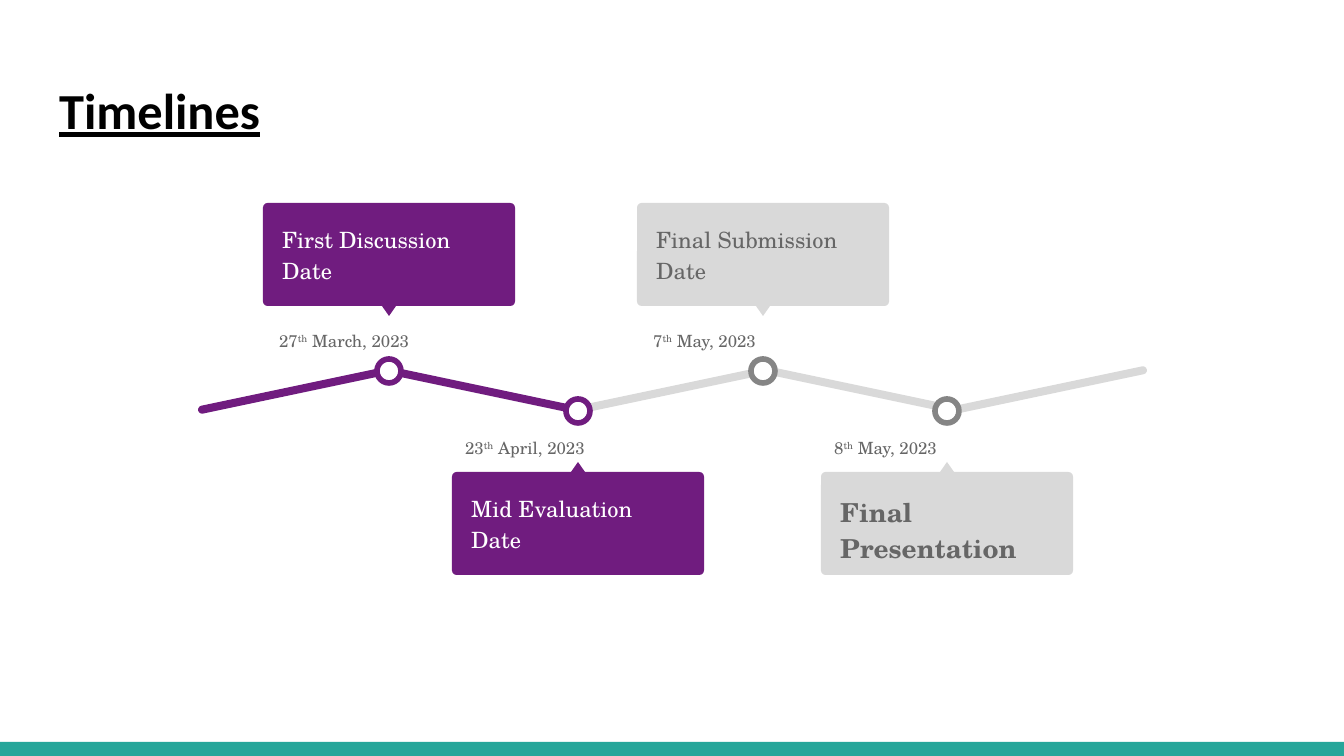
"""Build the project timeline slide with four dated milestones."""
from dataclasses import dataclass

from pptx import Presentation
from pptx import util as u
from pptx.dml.color import RGBColor
from pptx.enum import shapes, text

PX = 914400 / 134.4
COLORS = {
    "purple": "701C7F", "silver": "D9D9D9", "ring": "858585", "gray": "666666",
    "white": "FFFFFF", "black": "000000", "teal": "26A69A",
}
SERIF = "TeX Gyre Schola"
SHAPE = shapes.MSO_SHAPE


@dataclass
class Segment:
    center: int
    angle: float
    color: str


@dataclass
class Milestone:
    center: int
    above: bool
    day: str
    month: str
    caption: str
    fill: str
    ring: str
    ink: str
    size: int = 12
    bold: bool = False


SEGMENTS = [
    Segment(296, -11.9, "purple"),
    Segment(482, 11.9, "purple"),
    Segment(673, -11.9, "silver"),
    Segment(861, 11.9, "silver"),
    Segment(1050, -11.9, "silver"),
]
MILESTONES = [
    Milestone(389, True, "27", " March, 2023", "First Discussion Date",
              "purple", "purple", "white"),
    Milestone(578, False, "23", " April, 2023", "Mid Evaluation Date",
              "purple", "purple", "white"),
    Milestone(763, True, "7", " May, 2023", "Final Submission Date",
              "silver", "ring", "gray"),
    Milestone(947, False, "8", " May, 2023", "Final Presentation",
              "silver", "ring", "gray", 14, True),
]


def px(length: int) -> u.Emu:
    """Turn a length in px into EMU."""
    return u.Emu(round(length * PX))


def rgb(name: str) -> RGBColor:
    """Look up a named colour."""
    return RGBColor.from_string(COLORS[name])


def add_block(slide, preset, left: int, top: int, width: int, height: int, color: str):
    """Draw a plain filled preset shape without an outline."""
    block = slide.shapes.add_shape(preset, px(left), px(top), px(width), px(height))
    block.shadow.inherit = False
    block.fill.solid()
    block.fill.fore_color.rgb = rgb(color)
    block.line.fill.background()
    return block


def add_text(slide, left: int, top: int, width: int, height: int, parts: list[str],
             size: int, color: str, font: str = SERIF, bold: bool = False,
             spacing: float = 1.15):
    """Add a wrapped text box of one paragraph and return that paragraph."""
    frame = slide.shapes.add_textbox(px(left), px(top), px(width), px(height)).text_frame
    frame.word_wrap = True
    frame.vertical_anchor = text.MSO_ANCHOR.TOP
    frame.margin_left = frame.margin_right = u.Inches(0.1)
    frame.margin_top = frame.margin_bottom = u.Inches(0.1)
    paragraph = frame.paragraphs[0]
    paragraph.line_spacing = spacing
    for part in parts:
        run = paragraph.add_run()
        run.text = part
        run.font.name = font
        run.font.size = u.Pt(size)
        run.font.bold = bold
        run.font.color.rgb = rgb(color)
    return paragraph


def draw_segment(slide, segment: Segment) -> None:
    """Draw one tilted stretch of the timeline."""
    bar = add_block(slide, SHAPE.ROUNDED_RECTANGLE, segment.center - 100, 386, 199, 8,
                    segment.color)
    bar.adjustments[0] = 0.5
    bar.rotation = segment.angle


def draw_milestone(slide, stone: Milestone) -> None:
    """Draw a milestone's card, pointer, date and ring."""
    left = stone.center - 126
    card_top, pointer_top, date_top, ring_top = (
        (203, 306, 316, 359) if stone.above else (472, 462, 423, 399))

    card = add_block(slide, SHAPE.ROUNDED_RECTANGLE, left, card_top, 252, 103, stone.fill)
    card.adjustments[0] = 0.045
    pointer = add_block(slide, SHAPE.ISOSCELES_TRIANGLE, stone.center - 7, pointer_top,
                        14, 10, stone.fill)
    pointer.rotation = 180 if stone.above else 0
    add_text(slide, left + 6, card_top + 6, 239, 91, [stone.caption], stone.size,
             stone.ink, bold=stone.bold)

    date_left = left + 3 if stone.above else left
    date = add_text(slide, date_left, date_top, 178, 40, [stone.day, "th", stone.month],
                    9, "gray")
    date.space_after = u.Pt(12)
    date.runs[1]._r.get_or_add_rPr().set("baseline", "30000")

    ring = add_block(slide, SHAPE.OVAL, stone.center - 12, ring_top, 24, 24, "white")
    ring.line.color.rgb = rgb(stone.ring)
    ring.line.width = u.Pt(3)


def main() -> None:
    """Assemble and save the slide."""
    deck = Presentation()
    deck.slide_width, deck.slide_height = px(1344), px(756)
    slide = deck.slides.add_slide(deck.slide_layouts[6])

    add_block(slide, SHAPE.RECTANGLE, 0, 742, 1344, 14, "teal")
    title = add_text(slide, 46, 66, 1253, 90, ["Timelines"], 27, "black", "Calibri",
                     True, 1.0)
    title.runs[0].font.underline = True
    for segment in SEGMENTS:
        draw_segment(slide, segment)
    for stone in MILESTONES:
        draw_milestone(slide, stone)
    deck.save("out.pptx")


if __name__ == "__main__":
    main()
